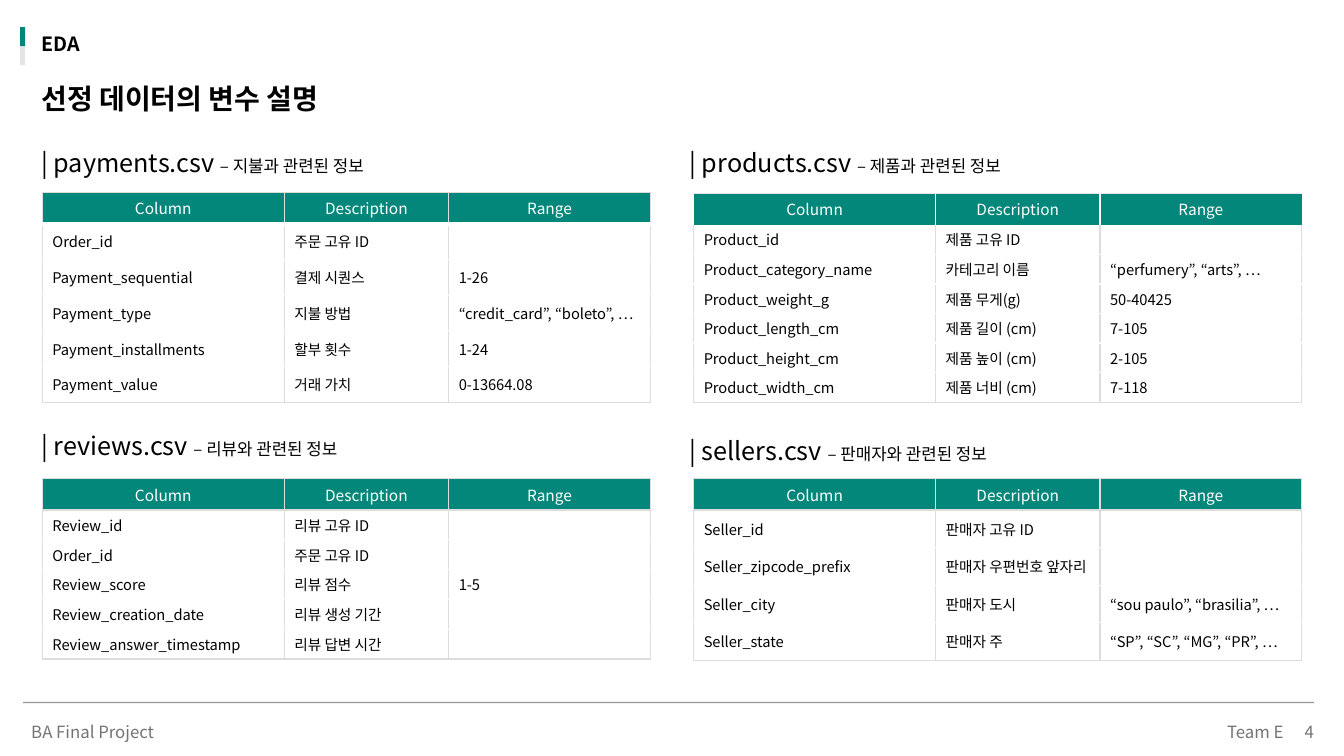
from lxml.etree import SubElement
from pptx import Presentation
from pptx.dml.color import RGBColor
from pptx.enum.shapes import MSO_CONNECTOR, MSO_SHAPE
from pptx.enum.text import MSO_ANCHOR, MSO_AUTO_SIZE, PP_ALIGN
from pptx.oxml.ns import qn
from pptx.util import Inches, Pt

FONT = "Noto Sans CJK KR"
GREEN = RGBColor(0x03, 0x87, 0x7A)
PALE = RGBColor(0xE6, 0xE5, 0xE4)
BORDER = RGBColor(0xDE, 0xDD, 0xDC)
WHITE = RGBColor(0xFF, 0xFF, 0xFF)
BLACK = RGBColor(0, 0, 0)
GRAY = RGBColor(0x74, 0x74, 0x74)
RULE = RGBColor(0x40, 0x40, 0x40)
NO_STYLE = "{2D5ABB26-0587-4C30-8999-92F81FD0307C}"

SECTION = "EDA"
TITLE = "선정 데이터의 변수 설명"
HEADER = ("Column", "Description", "Range")
COLUMN_WIDTHS = (2.4, 1.63, 2.0)
HEADER_HEIGHT = 0.31

GRID = {"left": (BORDER, 1), "right": (BORDER, 1), "top": (BORDER, 1), "bottom": (BORDER, 1)}
WHITE_GAP = {**GRID, "bottom": (WHITE, 3)}
WHITE_SIDES = {"left": (WHITE, 1), "right": (WHITE, 1), "top": (PALE, 0.25)}

# file, note, heading (left, top), table (left, top, height), header borders, rows
DATASETS = [
    ("payments.csv", "지불과 관련된 정보", (0.31, 1.41), (0.42, 1.91, 2.08), WHITE_GAP, [
        ("Order_id", "주문 고유 ID", ""),
        ("Payment_sequential", "결제 시퀀스", "1-26"),
        ("Payment_type", "지불 방법", "“credit_card”, “boleto”, …"),
        ("Payment_installments", "할부 횟수", "1-24"),
        ("Payment_value", "거래 가치", "0-13664.08"),
    ]),
    ("products.csv", "제품과 관련된 정보", (6.74, 1.41), (6.88, 1.92, 2.07), WHITE_SIDES, [
        ("Product_id", "제품 고유 ID", ""),
        ("Product_category_name", "카테고리 이름", "“perfumery”, “arts”, …"),
        ("Product_weight_g", "제품 무게(g)", "50-40425"),
        ("Product_length_cm", "제품 길이 (cm)", "7-105"),
        ("Product_height_cm", "제품 높이 (cm)", "2-105"),
        ("Product_width_cm", "제품 너비 (cm)", "7-118"),
    ]),
    ("reviews.csv", "리뷰와 관련된 정보", (0.31, 4.22), (0.42, 4.75, 1.79), GRID, [
        ("Review_id", "리뷰 고유 ID", ""),
        ("Order_id", "주문 고유 ID", ""),
        ("Review_score", "리뷰 점수", "1-5"),
        ("Review_creation_date", "리뷰 생성 기간", ""),
        ("Review_answer_timestamp", "리뷰 답변 시간", ""),
    ]),
    ("sellers.csv", "판매자와 관련된 정보", (6.74, 4.27), (6.88, 4.75, 1.8), GRID, [
        ("Seller_id", "판매자 고유 ID", ""),
        ("Seller_zipcode_prefix", "판매자 우편번호 앞자리", ""),
        ("Seller_city", "판매자 도시", "“sou paulo”, “brasilia”, …"),
        ("Seller_state", "판매자 주", "“SP”, “SC”, “MG”, “PR”, …"),
    ]),
]

# text, left, alignment
FOOTERS = [
    ("BA Final Project", 0.31, PP_ALIGN.LEFT),
    ("Team E", 9.24, PP_ALIGN.RIGHT),
    ("4", 9.54, PP_ALIGN.RIGHT),
]


def add_run(paragraph, text, size, color, bold=False):
    run = paragraph.add_run()
    run.text = text
    font_values = {"name": FONT, "size": Pt(size), "bold": bold}
    for name, value in font_values.items():
        setattr(run.font, name, value)
    run.font.color.rgb = color
    SubElement(run.font._element, qn("a:ea"), typeface=FONT)


def add_text_box(slide, left, top, width, height):
    frame = slide.shapes.add_textbox(*map(Inches, (left, top, width, height))).text_frame
    frame.word_wrap = True
    frame.auto_size = MSO_AUTO_SIZE.SHAPE_TO_FIT_TEXT
    return frame


def set_borders(cell, borders):
    properties = cell._tc.get_or_add_tcPr()
    for side, tag in (("left", "a:lnL"), ("right", "a:lnR"), ("top", "a:lnT"), ("bottom", "a:lnB")):
        if side in borders:
            color, width = borders[side]
            line = SubElement(properties, qn(tag), w=str(Pt(width)))
            fill = SubElement(line, qn("a:solidFill"))
            SubElement(fill, qn("a:srgbClr"), val=str(color))


def header_borders(borders, column):
    """Leave out white borders on the outer sides of the header."""
    outer = {0: "left", len(HEADER) - 1: "right"}.get(column)
    return {side: border for side, border in borders.items()
            if side != outer or border[0] != WHITE}


def body_borders(header, row, last):
    top = header.get("bottom") if row == 1 else (WHITE, 1)
    borders = {**GRID, "top": top, "bottom": (BORDER if row == last else WHITE, 1)}
    return {side: border for side, border in borders.items() if border}


def fill_cell(cell, text, size, color, alignment):
    cell.vertical_anchor = MSO_ANCHOR.MIDDLE
    cell.margin_top = cell.margin_bottom = Inches(0.03)
    paragraph = cell.text_frame.paragraphs[0]
    paragraph.alignment = alignment
    if text:
        add_run(paragraph, text, size, color)
    else:
        SubElement(paragraph._p, qn("a:endParaRPr"), sz=str(int(size * 100)))


def add_dataset_table(slide, place, header, rows):
    left, top, height = place
    last = len(rows)
    frame = slide.shapes.add_table(last + 1, len(HEADER), Inches(left), Inches(top),
                                   Inches(sum(COLUMN_WIDTHS)), Inches(height))
    table = frame.table
    table._tbl.tblPr.find(qn("a:tableStyleId")).text = NO_STYLE
    table.horz_banding = False
    for column, width in zip(table.columns, COLUMN_WIDTHS):
        column.width = Inches(width)
    for index, row in enumerate(table.rows):
        row.height = Inches((height - HEADER_HEIGHT) / last if index else HEADER_HEIGHT)
    for row, texts in enumerate([HEADER, *rows]):
        for column, text in enumerate(texts):
            cell = table.cell(row, column)
            if row == 0:
                set_borders(cell, header_borders(header, column))
                cell.fill.solid()
                cell.fill.fore_color.rgb = GREEN
                fill_cell(cell, text, 11, WHITE, PP_ALIGN.CENTER)
            else:
                set_borders(cell, body_borders(header, row, last))
                cell.fill.background()
                fill_cell(cell, text, 10.5, BLACK, PP_ALIGN.LEFT)


def add_title(slide):
    for index, color in enumerate((GREEN, PALE)):
        mark = slide.shapes.add_shape(MSO_SHAPE.RECTANGLE, Inches(0.2), Inches(0.27 + 0.19 * index),
                                      Inches(0.05), Inches(0.19))
        mark.shadow.inherit = False
        mark.fill.solid()
        mark.fill.fore_color.rgb = color
        mark.line.fill.background()
    section = add_text_box(slide, 0.31, 0.27, 2.29, 0.34)
    add_run(section.paragraphs[0], SECTION, 14, BLACK, True)

    title = slide.shapes.title
    place = {"left": 0.31, "top": 0.76, "width": 12.71, "height": 0.44}
    for name, value in place.items():
        setattr(title, name, Inches(value))
    frame = title.text_frame
    frame.vertical_anchor = MSO_ANCHOR.TOP
    frame.auto_size = MSO_AUTO_SIZE.SHAPE_TO_FIT_TEXT
    frame.paragraphs[0].alignment = PP_ALIGN.LEFT
    add_run(frame.paragraphs[0], TITLE, 20, BLACK, True)


def add_footer(slide):
    rule = slide.shapes.add_connector(MSO_CONNECTOR.STRAIGHT, Inches(13.03), Inches(6.97),
                                      Inches(0.23), Inches(6.97))
    rule.line.width = Pt(1)
    rule.line.color.rgb = RULE
    SubElement(rule._element.spPr.find(".//" + qn("a:srgbClr")), qn("a:alpha"), val="54000")
    SubElement(rule._element.spPr, qn("a:effectLst"))
    for text, left, alignment in FOOTERS:
        frame = add_text_box(slide, left, 7.18, 3.49, 0.18)
        for side in ("left", "top", "right", "bottom"):
            setattr(frame, f"margin_{side}", 0)
        paragraph = frame.paragraphs[0]
        paragraph.alignment = alignment
        paragraph.line_spacing = 0.9
        add_run(paragraph, text, 12, GRAY)


def main():
    presentation = Presentation()
    presentation.slide_width = Inches(13.33)
    presentation.slide_height = Inches(7.5)
    slide = presentation.slides.add_slide(presentation.slide_layouts[5])
    add_title(slide)
    for file_name, note, (left, top), place, header, rows in DATASETS:
        heading = add_text_box(slide, left, top, 4.15, 0.4).paragraphs[0]
        add_run(heading, f"| {file_name} ", 18, BLACK)
        add_run(heading, f"– {note}", 12, BLACK)
        add_dataset_table(slide, place, header, rows)
    add_footer(slide)
    presentation.save("out.pptx")


if __name__ == "__main__":
    main()
